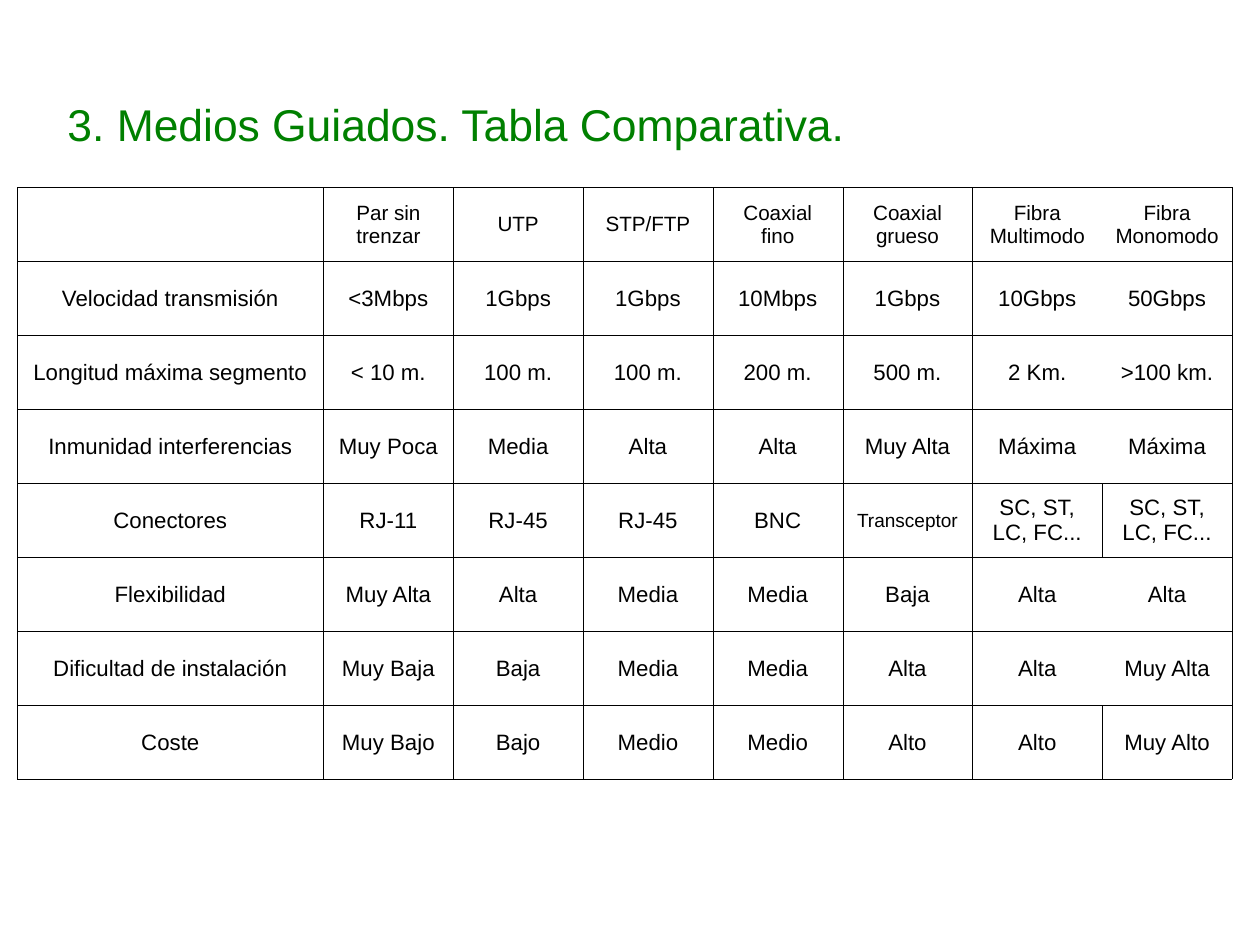
"""Build a slide with a table comparing guided transmission media."""
import pptx
import pptx.dml.color
import pptx.enum.text
import pptx.oxml.ns
import pptx.util
from lxml import etree
from pptx.util import Inches

GREEN = pptx.dml.color.RGBColor(0x00, 0x80, 0x00)
BLACK = pptx.dml.color.RGBColor(0x00, 0x00, 0x00)
WHITE = pptx.dml.color.RGBColor(0xFF, 0xFF, 0xFF)
FONT = "Arial"
MIDDLE = pptx.enum.text.MSO_ANCHOR.MIDDLE
CENTER = pptx.enum.text.PP_ALIGN.CENTER

ROWS = [
    ["", "Par sin trenzar", "UTP", "STP/FTP", "Coaxial fino", "Coaxial grueso",
     "Fibra Multimodo", "Fibra\nMonomodo"],
    ["Velocidad transmisión", "<3Mbps", "1Gbps", "1Gbps", "10Mbps", "1Gbps", "10Gbps", "50Gbps"],
    ["Longitud máxima segmento", "< 10 m.", "100 m.", "100 m.", "200 m.", "500 m.",
     "2 Km.", ">100 km."],
    ["Inmunidad interferencias", "Muy Poca", "Media", "Alta", "Alta", "Muy Alta",
     "Máxima", "Máxima"],
    ["Conectores", "RJ-11", "RJ-45", "RJ-45", "BNC", "Transceptor",
     "SC, ST, LC, FC...", "SC, ST, LC, FC..."],
    ["Flexibilidad", "Muy Alta", "Alta", "Media", "Media", "Baja", "Alta", "Alta"],
    ["Dificultad de instalación", "Muy Baja", "Baja", "Media", "Media", "Alta",
     "Alta", "Muy Alta"],
    ["Coste", "Muy Bajo", "Bajo", "Medio", "Medio", "Alto", "Alto", "Muy Alto"],
]
SPLIT_FIBRE_ROWS = ("Conectores", "Coste")
MULTIMODE, MONOMODE = 6, 7
CM_PER_INCH = 2.54
TABLE_WIDTH, TABLE_HEIGHT, LABEL_WIDTH = 10.63, 5.18, 2.68


def format_text(paragraph, size, color):
    for run in paragraph.runs:
        run.font.name = FONT
        run.font.size = pptx.util.Pt(size)
        run.font.color.rgb = color


def add_border(cell, side, visible):
    properties = cell._tc.get_or_add_tcPr()
    line = etree.SubElement(properties, pptx.oxml.ns.qn(f"a:ln{side}"))
    line.set("w", str(pptx.util.Pt(0.06)))
    if visible:
        fill = etree.SubElement(line, pptx.oxml.ns.qn("a:solidFill"))
        etree.SubElement(fill, pptx.oxml.ns.qn("a:srgbClr")).set("val", str(BLACK))
    else:
        etree.SubElement(line, pptx.oxml.ns.qn("a:noFill"))


presentation = pptx.Presentation()
presentation.slide_width = Inches(28 / CM_PER_INCH)
presentation.slide_height = Inches(21 / CM_PER_INCH)
slide = presentation.slides.add_slide(presentation.slide_layouts[6])

title = slide.shapes.add_textbox(Inches(0.59), Inches(0.39), Inches(9.92), Inches(1.38))
title_frame = title.text_frame
title_frame.word_wrap = True
title_frame.vertical_anchor = MIDDLE
title_frame.margin_left = title_frame.margin_right = 0
title_frame.margin_top = title_frame.margin_bottom = 0
title_frame.text = "3. Medios Guiados. Tabla Comparativa."
format_text(title_frame.paragraphs[0], 28, GREEN)

table = slide.shapes.add_table(
    len(ROWS), len(ROWS[0]), Inches(0.15), Inches(1.64),
    Inches(TABLE_WIDTH), Inches(TABLE_HEIGHT)).table
table.first_row = False
table.horz_banding = False
for column in table.columns:
    column.width = Inches((TABLE_WIDTH - LABEL_WIDTH) / (len(ROWS[0]) - 1))
table.columns[0].width = Inches(LABEL_WIDTH)

for row_index, values in enumerate(ROWS):
    table.rows[row_index].height = Inches(TABLE_HEIGHT / len(ROWS))
    fibre_is_split = values[0] in SPLIT_FIBRE_ROWS
    for column_index, value in enumerate(values):
        cell = table.cell(row_index, column_index)
        add_border(cell, "L", column_index != MONOMODE or fibre_is_split)
        add_border(cell, "R", column_index != MULTIMODE or fibre_is_split)
        add_border(cell, "T", True)
        add_border(cell, "B", True)
        cell.fill.solid()
        cell.fill.fore_color.rgb = WHITE
        cell.vertical_anchor = MIDDLE
        cell.text_frame.text = value
        size = 13 if row_index == 0 else 12 if value == "Transceptor" else 14
        for paragraph in cell.text_frame.paragraphs:
            paragraph.alignment = CENTER
            format_text(paragraph, size, BLACK)

presentation.save("out.pptx")
